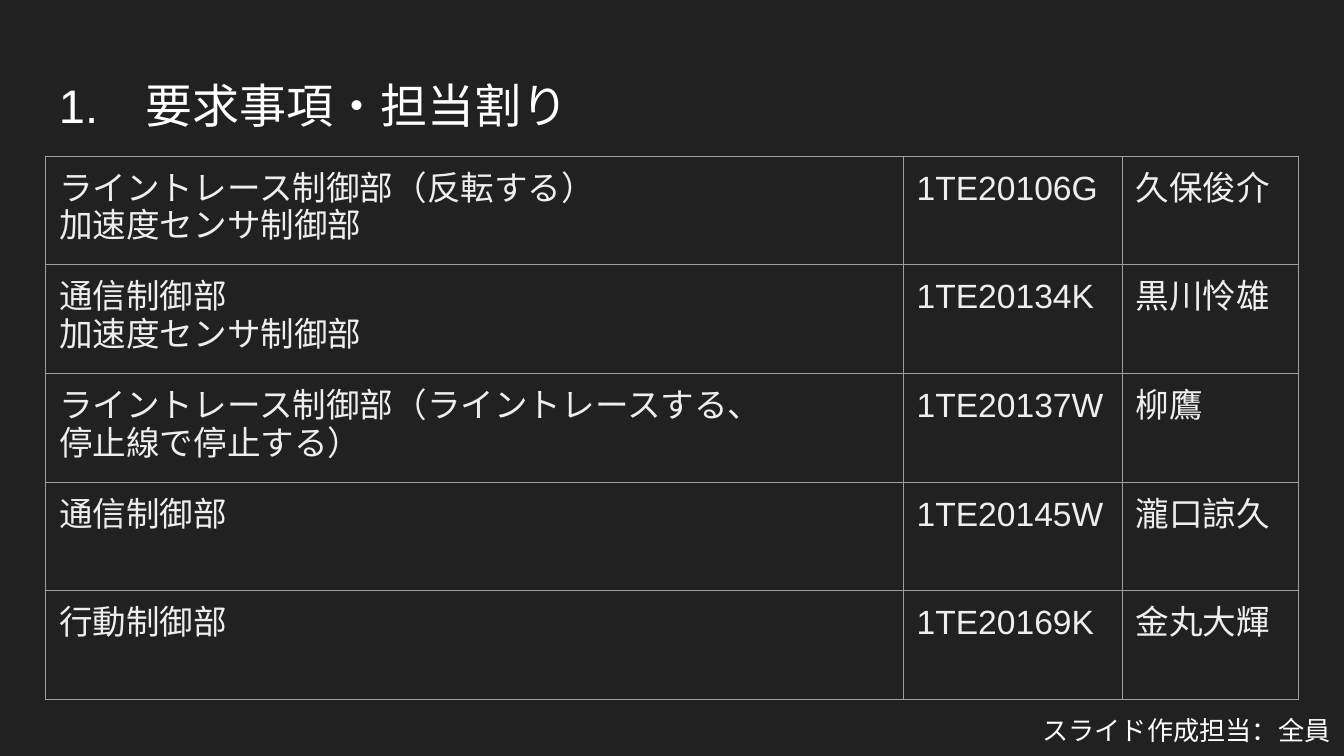
from lxml import etree
from pptx import Presentation
from pptx.dml.color import RGBColor
from pptx.enum.text import MSO_ANCHOR, PP_ALIGN
from pptx.oxml.ns import qn
from pptx.util import Pt

FONT = "Arial"
INSET = 7.2
COLORS = {"background": "212121", "heading": "FFFFFF",
          "body": "EEEEEE", "border": "9E9E9E"}

COLUMN_WIDTHS = [459.4, 117.4, 94.3]
ROW_HEIGHT = 58.2
ASSIGNMENTS = [
    (["ライントレース制御部（反転する）", "加速度センサ制御部"], "1TE20106G", "久保俊介"),
    (["通信制御部", "加速度センサ制御部"], "1TE20134K", "黒川怜雄"),
    (["ライントレース制御部（ライントレースする、", "停止線で停止する）"], "1TE20137W", "柳鷹"),
    (["通信制御部"], "1TE20145W", "瀧口諒久"),
    (["行動制御部"], "1TE20169K", "金丸大輝"),
]


def rgb(name):
    return RGBColor.from_string(COLORS[name])


def set_insets(target):
    for side in ("left", "right", "top", "bottom"):
        setattr(target, f"margin_{side}", Pt(INSET))


def write_lines(tf, lines, size, color):
    for i, line in enumerate(lines):
        p = tf.paragraphs[0] if i == 0 else tf.add_paragraph()
        r = p.add_run()
        r.text = line
        r.font.size = Pt(size)
        r.font.name = FONT
        r.font.color.rgb = rgb(color)
        for tag in ("a:ea", "a:cs"):
            etree.SubElement(r.font._element, qn(tag), typeface=FONT)


def add_text(slide, box, text, size, anchor, align=PP_ALIGN.LEFT, spacing=1.0):
    tf = slide.shapes.add_textbox(*map(Pt, box)).text_frame
    tf.word_wrap = True
    tf.vertical_anchor = anchor
    set_insets(tf)
    write_lines(tf, [text], size, "heading")
    p = tf.paragraphs[0]
    p.alignment = align
    p.line_spacing = spacing


def add_borders(cell):
    tc_pr = cell._tc.get_or_add_tcPr()
    for i, tag in enumerate(("a:lnL", "a:lnR", "a:lnT", "a:lnB")):
        ln = etree.Element(qn(tag), w=str(Pt(0.75)))
        fill = etree.SubElement(ln, qn("a:solidFill"))
        etree.SubElement(fill, qn("a:srgbClr"), val=COLORS["border"])
        tc_pr.insert(i, ln)


def add_assignment_table(slide, left, top):
    table = slide.shapes.add_table(
        len(ASSIGNMENTS), len(COLUMN_WIDTHS), Pt(left), Pt(top),
        Pt(sum(COLUMN_WIDTHS)), Pt(ROW_HEIGHT * len(ASSIGNMENTS))).table
    table.first_row = False
    table.horz_banding = False
    for column, width in zip(table.columns, COLUMN_WIDTHS):
        column.width = Pt(width)
    for row, (tasks, student_id, name) in zip(table.rows, ASSIGNMENTS):
        row.height = Pt(ROW_HEIGHT)
        for cell, lines in zip(row.cells, (tasks, [student_id], [name])):
            set_insets(cell)
            cell.vertical_anchor = MSO_ANCHOR.TOP
            cell.fill.background()
            add_borders(cell)
            write_lines(cell.text_frame, lines, 18, "body")


def build_assignment_slide(prs):
    slide = prs.slides.add_slide(prs.slide_layouts[6])
    slide.background.fill.solid()
    slide.background.fill.fore_color.rgb = rgb("background")
    add_text(slide, (24.5, 35.3, 671, 45.4), "1.　要求事項・担当割り", 25.2,
             MSO_ANCHOR.MIDDLE, spacing=0.9)
    add_text(slide, (5, 375.1, 715, 31.7), "スライド作成担当：全員", 14,
             MSO_ANCHOR.BOTTOM, PP_ALIGN.RIGHT)
    add_assignment_table(slide, 24.5, 83.7)


def main():
    prs = Presentation()
    prs.slide_width, prs.slide_height = Pt(720), Pt(405)
    build_assignment_slide(prs)
    prs.save("out.pptx")


if __name__ == "__main__":
    main()
